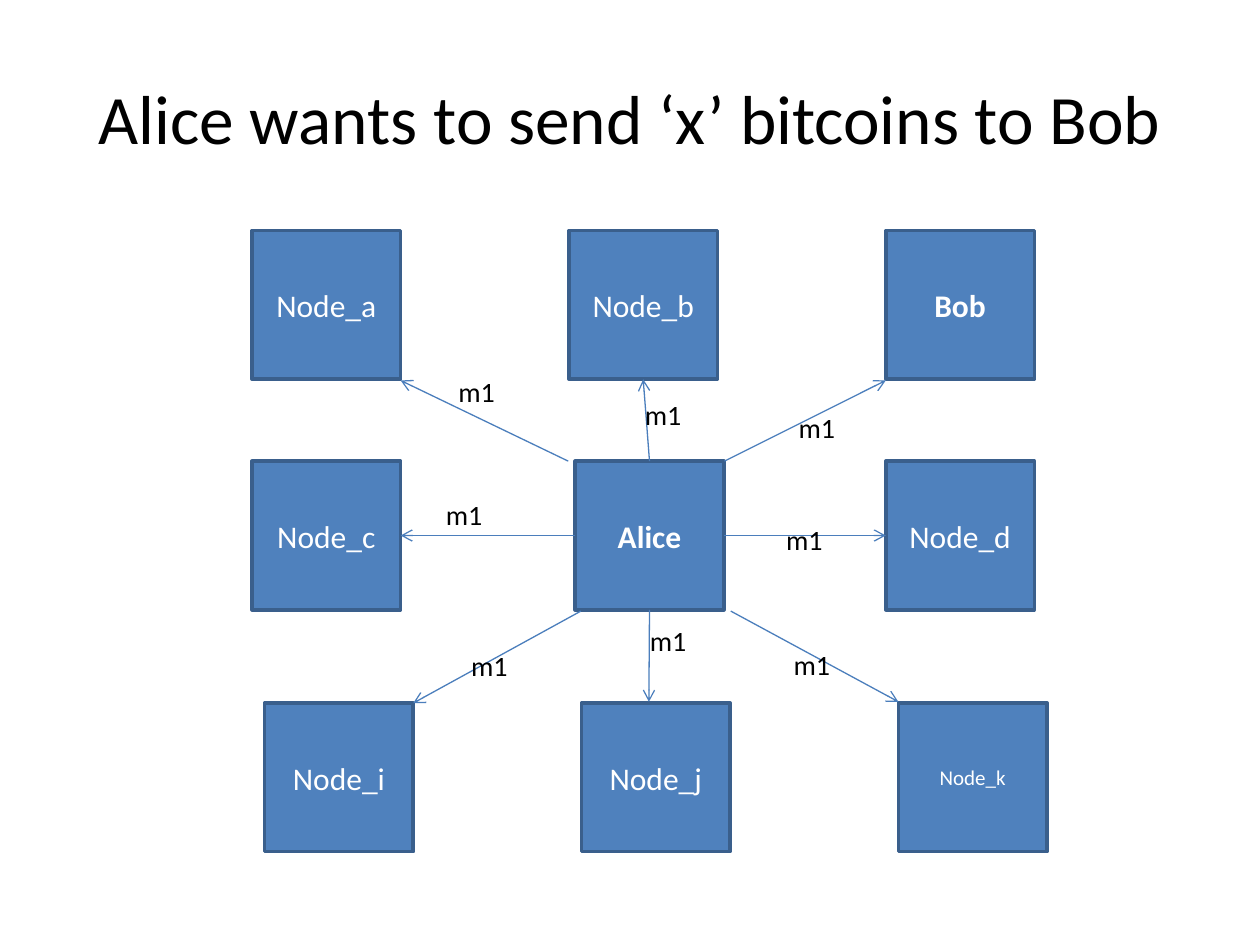
from lxml import etree
from pptx import Presentation
from pptx.dml.color import RGBColor
from pptx.enum.shapes import MSO_CONNECTOR, MSO_SHAPE
from pptx.enum.text import MSO_ANCHOR, PP_ALIGN
from pptx.oxml.ns import qn
from pptx.util import Inches, Pt

RECT = MSO_SHAPE.RECTANGLE
STRAIGHT = MSO_CONNECTOR.STRAIGHT
CENTER, LEFT = PP_ALIGN.CENTER, PP_ALIGN.LEFT
MIDDLE, TOP = MSO_ANCHOR.MIDDLE, MSO_ANCHOR.TOP

BLUE = RGBColor(0x4F, 0x81, 0xBD)
EDGE = RGBColor(0x3A, 0x5F, 0x8C)
ARROW = RGBColor(0x4B, 0x7E, 0xBC)
WHITE = RGBColor(0xFF, 0xFF, 0xFF)
BLACK = RGBColor(0, 0, 0)

TITLE = "Alice wants to send ‘x’ bitcoins to Bob"
MESSAGE = "m1"
SIDE = 1.18
COL_STEP = 2.515
ROWS = [
    (2.0, 1.83, ["Node_a", "Node_b", "Bob"]),
    (2.0, 3.66, ["Node_c", "Alice", "Node_d"]),
    (2.1, 5.58, ["Node_i", "Node_j", "Node_k"]),
]
SHIFT = {"Alice": 0.05}
BOLD = {"Alice", "Bob"}
SIZES = {"Node_k": 12}

# target: (start, end, message position, Alice's side, target's side)
MESSAGES = {
    "Node_a": ((4.51, 3.66), (3.18, 3.02), (3.54, 2.92), None, None),
    "Node_b": ((5.15, 3.66), (5.11, 3.02), (5.02, 3.11), 0, 2),
    "Bob": ((5.75, 3.66), (7.03, 3.02), (6.24, 3.21), None, None),
    "Node_c": ((4.56, 4.26), (3.18, 4.26), (3.44, 3.9), 1, 3),
    "Node_d": ((5.75, 4.26), (7.03, 4.26), (6.14, 4.1), 3, 1),
    "Node_i": ((4.61, 4.85), (3.28, 5.58), (3.64, 5.1), None, None),
    "Node_j": ((5.15, 4.85), (5.15, 5.57), (5.06, 4.9), 2, None),
    "Node_k": ((5.8, 4.85), (7.13, 5.57), (6.2, 5.09), None, None),
}


def set_text(sp, text, size, color, align=CENTER, anchor=MIDDLE, bold=False, wrap=True):
    tf = sp.text_frame
    tf.text = text
    tf.word_wrap = wrap
    tf.vertical_anchor = anchor
    p = tf.paragraphs[0]
    p.alignment = align
    font = p.runs[0].font
    font.name = "Calibri"
    font.size = Pt(size)
    font.bold = bold
    font.color.rgb = color


def add_node(s, name, x, y):
    sp = s.shapes.add_shape(RECT, Inches(x), Inches(y), Inches(SIDE), Inches(SIDE))
    sp.shadow.inherit = False
    sp.fill.solid()
    sp.fill.fore_color.rgb = BLUE
    sp.line.color.rgb = EDGE
    sp.line.width = Pt(2)
    set_text(sp, name, SIZES.get(name, 18), WHITE, bold=name in BOLD)
    return sp


def add_arrow(s, start, end):
    line = s.shapes.add_connector(STRAIGHT, *map(Inches, start + end))
    line.line.color.rgb = ARROW
    line.line.width = Pt(0.75)
    etree.SubElement(line.line._get_or_add_ln(), qn("a:tailEnd"), type="arrow")
    etree.SubElement(line._element.spPr, qn("a:effectLst"))
    return line


def main():
    prs = Presentation()
    prs.slide_width, prs.slide_height = Inches(10), Inches(7.5)
    s = prs.slides.add_slide(prs.slide_layouts[6])

    title = s.shapes.add_textbox(Inches(0.5), Inches(0.3), Inches(9), Inches(1.25))
    set_text(title, TITLE, 39.6, BLACK)

    nodes = {}
    for left, top, names in ROWS:
        for col, name in enumerate(names):
            x = left + col * COL_STEP + SHIFT.get(name, 0)
            nodes[name] = add_node(s, name, x, top)

    for name, (start, end, _, begin_side, end_side) in MESSAGES.items():
        line = add_arrow(s, start, end)
        if begin_side is not None:
            line.begin_connect(nodes["Alice"], begin_side)
        if end_side is not None:
            line.end_connect(nodes[name], end_side)

    for _, _, (x, y), _, _ in MESSAGES.values():
        label = s.shapes.add_textbox(Inches(x), Inches(y), Inches(0.59), Inches(0.44))
        set_text(label, MESSAGE, 16, BLACK, LEFT, TOP, wrap=False)

    prs.save("out.pptx")


if __name__ == "__main__":
    main()
